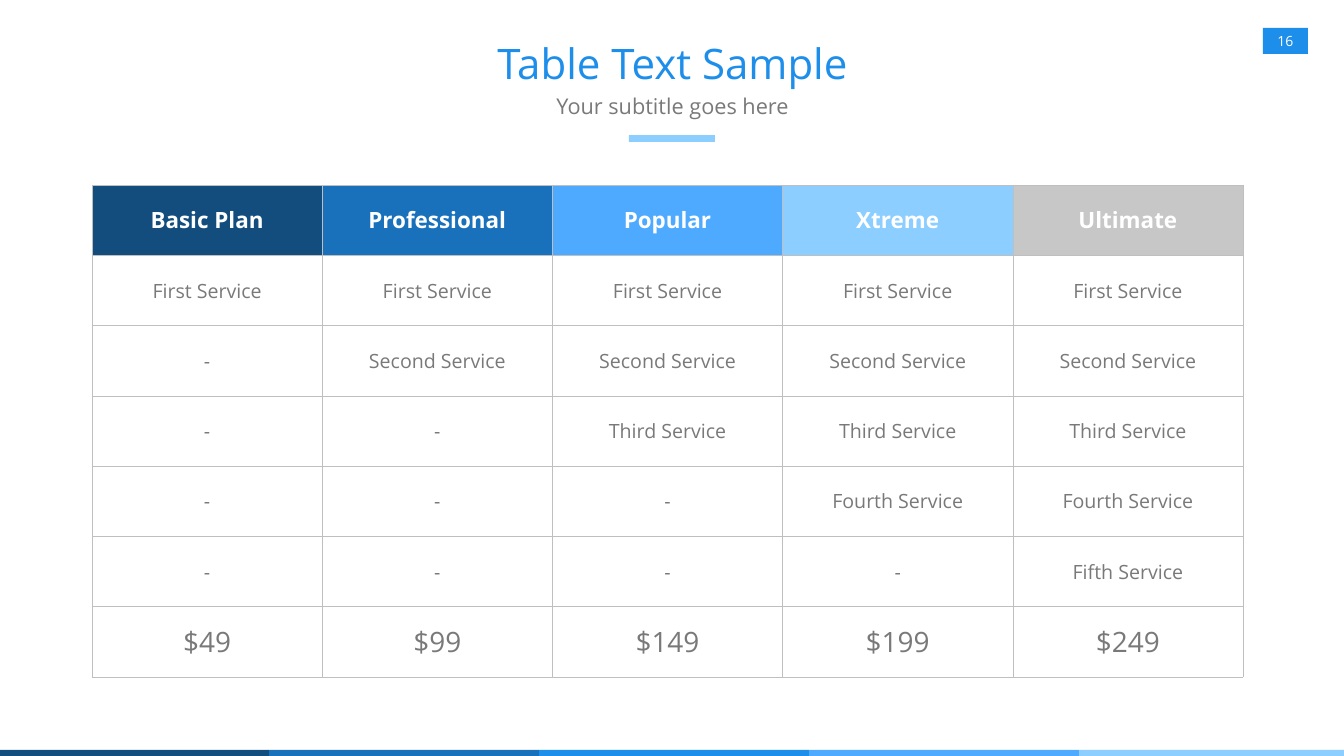
from lxml.etree import SubElement as Sub
from pptx import Presentation
from pptx.dml.color import RGBColor as RGB
from pptx.enum.shapes import MSO_SHAPE as Kind
from pptx.enum.text import MSO_ANCHOR as Anchor, MSO_AUTO_SIZE as Fit, PP_ALIGN as Align
from pptx.oxml.ns import qn
from pptx.util import Emu, Pt

TITLE = "Table Text Sample"
SUB = "Your subtitle goes here"
PAGE = "16"
PLANS = [
    ("Basic Plan", "navy", "$49"),
    ("Professional", "deep", "$99"),
    ("Popular", "sky", "$149"),
    ("Xtreme", "pale", "$199"),
    ("Ultimate", "silver", "$249"),
]
RANKS = ["First", "Second", "Third", "Fourth", "Fifth"]
BANDS = ["navy", "deep", "blue", "sky", "pale"]
HEX = {
    "navy": "134D7E", "deep": "1971BB", "blue": "1D8EEA", "sky": "4EAAFF",
    "pale": "8BCEFF", "silver": "C7C7C7", "gray": "797979", "rule": "BFBFBF",
    "white": "FFFFFF",
}
FONT = "Open Sans"
STYLES = {
    "title": {"size": Pt(60), "bold": False, "color": "blue"},
    "sub": {"size": Pt(31), "bold": False, "color": "gray"},
    "page": {"size": Pt(20), "bold": False, "color": "white"},
    "head": {"size": Pt(32), "bold": True, "color": "white"},
    "body": {"size": Pt(28), "bold": False, "color": "gray"},
    "price": {"size": Pt(40), "bold": False, "color": "gray"},
}
SCALE = 914400 / 50.4


def px(n):
    return Emu(round(n * SCALE))


def write(frame, text, style):
    frame.text = text
    para = frame.paragraphs[0]
    para.alignment = Align.CENTER
    font = para.runs[0].font
    font.name = FONT
    for key, val in STYLES[style].items():
        if key == "color":
            font.color.rgb = RGB.from_string(HEX[val])
        else:
            setattr(font, key, val)
    return para


def block(slide, box, color):
    shape = slide.shapes.add_shape(Kind.RECTANGLE, *map(px, box))
    shape.shadow.inherit = False
    shape.fill.solid()
    shape.fill.fore_color.rgb = RGB.from_string(HEX[color])
    shape.line.fill.background()
    return shape


def label(holder, box, text, style, anchor):
    for key, val in zip(("left", "top", "width", "height"), box):
        setattr(holder, key, px(val))
    frame = holder.text_frame
    form = {
        "auto_size": Fit.NONE, "word_wrap": True, "vertical_anchor": anchor,
        "margin_left": px(12), "margin_right": px(12),
        "margin_top": px(6), "margin_bottom": px(6),
    }
    for key, val in form.items():
        setattr(frame, key, val)
    return write(frame, text, style)


def border(cell):
    props = cell._tc.get_or_add_tcPr()
    for side in ("lnL", "lnR", "lnT", "lnB"):
        line = Sub(props, qn("a:" + side), w=str(Pt(0.75)))
        Sub(Sub(line, qn("a:solidFill")), qn("a:srgbClr"), val=HEX["rule"])


def grid(slide, box):
    rows = len(RANKS) + 2
    table = slide.shapes.add_table(rows, len(PLANS), *map(px, box)).table
    table.first_row = table.horz_banding = False
    for c, (name, color, price) in enumerate(PLANS):
        items = [f"{rank} Service" if r <= c else "-" for r, rank in enumerate(RANKS)]
        for r, text in enumerate([name, *items, price]):
            cell = table.cell(r, c)
            cell.vertical_anchor = Anchor.MIDDLE
            border(cell)
            if r == 0:
                cell.fill.solid()
                cell.fill.fore_color.rgb = RGB.from_string(HEX[color])
            else:
                cell.fill.background()
            style = "head" if r == 0 else "price" if r == rows - 1 else "body"
            write(cell.text_frame, text, style)


def main():
    deck = Presentation()
    deck.slide_width, deck.slide_height = px(1344), px(756)
    slide = deck.slides.add_slide(deck.slide_layouts[0])
    title, sub = slide.placeholders

    for i, color in enumerate(BANDS):
        block(slide, (270 * i - 1, 750, 270, 10), color)

    label(title, (101, 31, 1143, 63), TITLE, "title", Anchor.MIDDLE)
    para = label(sub, (351, 82, 643, 46), SUB, "sub", Anchor.TOP)
    para.line_spacing, para.space_before = 1.2, Pt(6)

    badge = block(slide, (1263, 28, 45, 26), "blue").text_frame
    for side in ("left", "right", "top", "bottom"):
        setattr(badge, "margin_" + side, 0)
    badge.vertical_anchor = Anchor.MIDDLE
    write(badge, PAGE, "page")

    block(slide, (629, 135, 86, 7), "pale")
    grid(slide, (92, 185, 1151, 492))
    deck.save("out.pptx")


if __name__ == "__main__":
    main()
